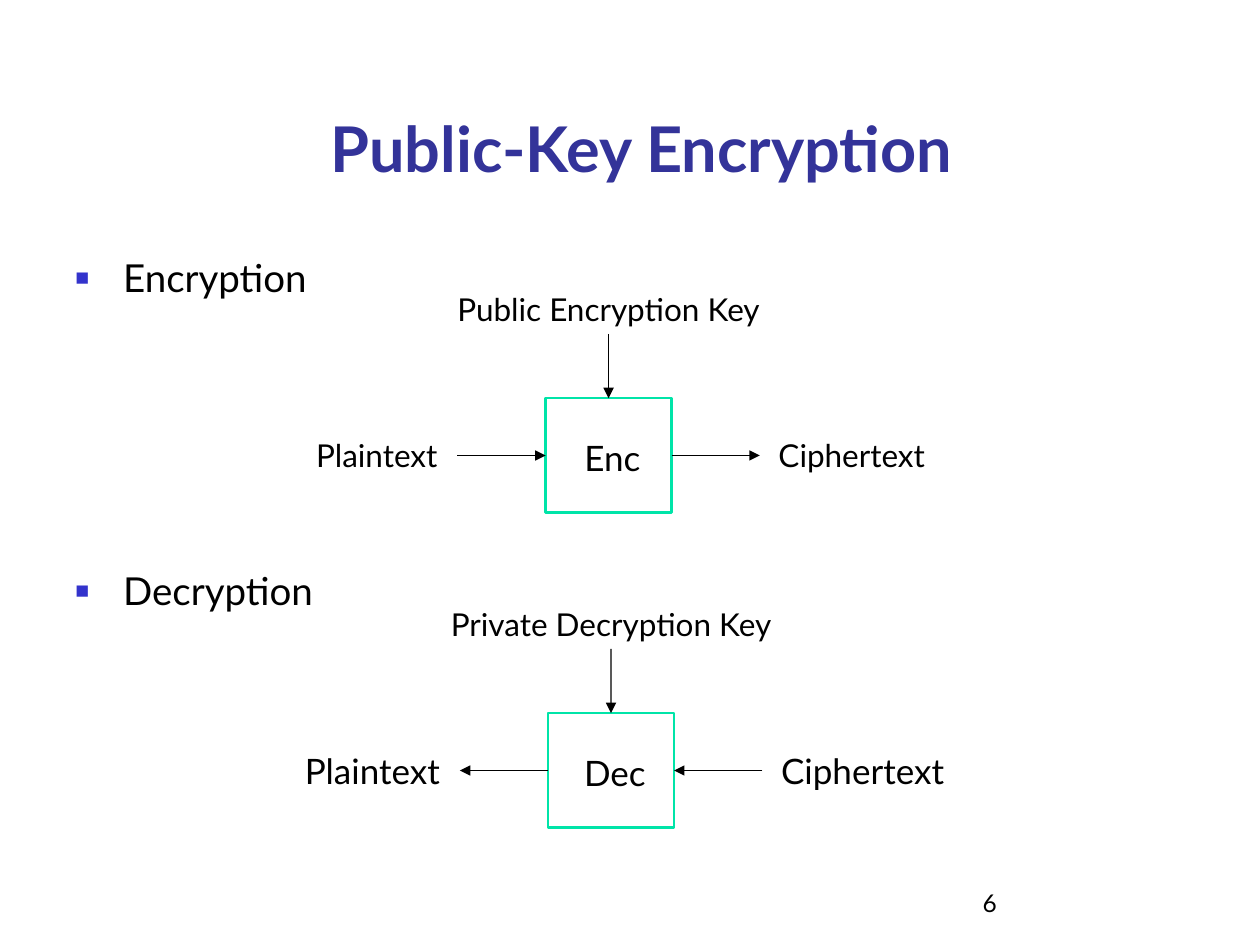
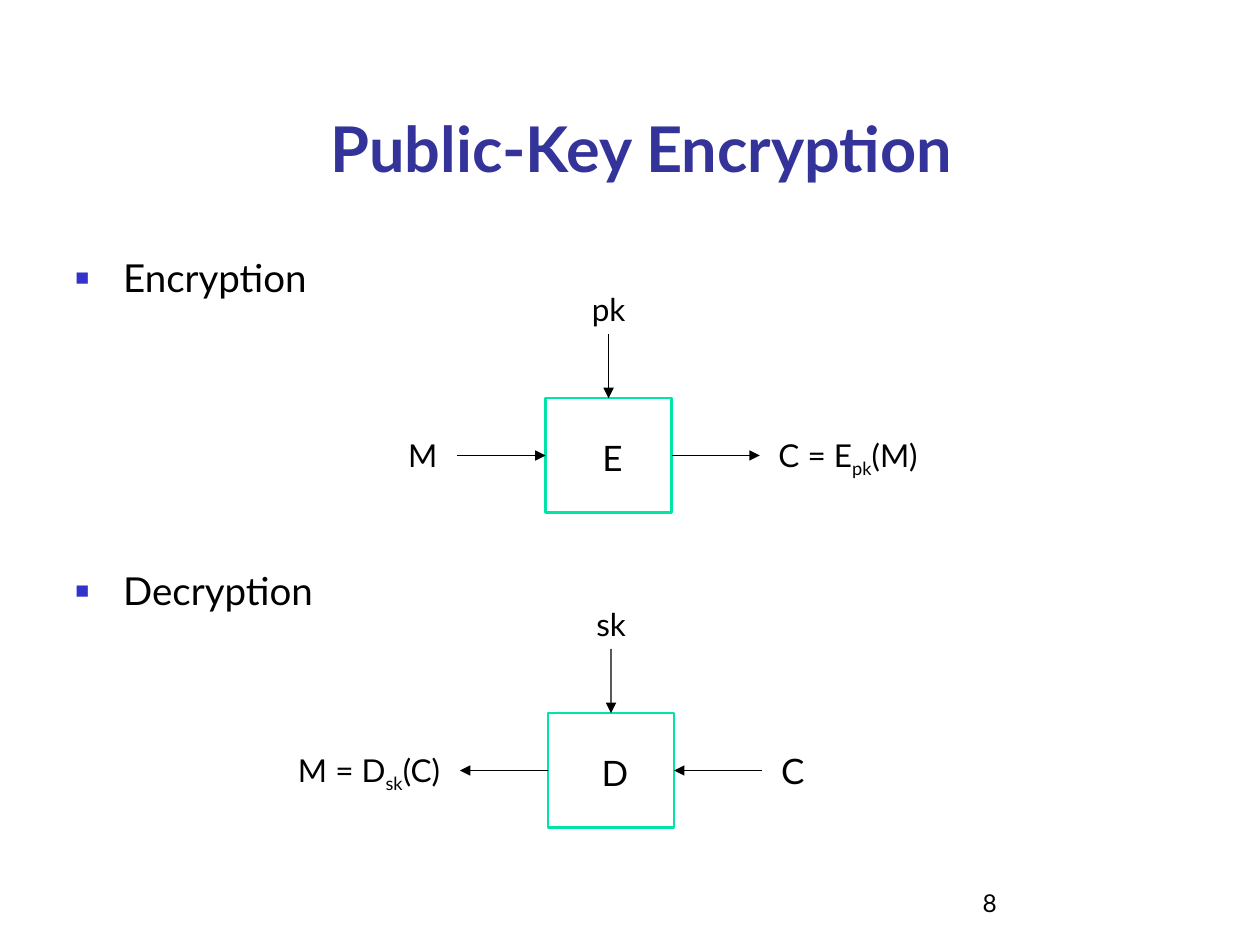
from lxml.etree import SubElement
from pptx import Presentation
from pptx.dml.color import RGBColor
from pptx.enum.shapes import MSO_CONNECTOR, MSO_SHAPE
from pptx.enum.text import MSO_ANCHOR, PP_ALIGN
from pptx.oxml.ns import qn
from pptx.util import Inches, Pt

COLOURS = {"title": "333399", "text": "000000", "bullet": "3333CC",
           "box": "00E4A8", "arrow": "000000"}
FONT = "Lato"
TITLE = "Public-Key Encryption"
TOP, LEFT, RIGHT = 0, 1, 3  # connection sites of a rectangle
BOX_WIDTH, BOX_HEIGHT = 1, 0.91
ARROW_LENGTH = 0.7
LABEL_WIDTH = 1.62

# Text between underscores is set as a subscript.
SLIDES = [
    {"number": "6",
     "encryption": {"key": "Public Encryption Key", "name": "Enc",
                    "left": ("Plaintext", 18), "right": ("Ciphertext", 18)},
     "decryption": {"key": "Private Decryption Key", "name": "Dec",
                    "left": ("Plaintext", 20), "right": ("Ciphertext", 20)}},
    {"number": "8",
     "encryption": {"key": "pk", "name": "E",
                    "left": ("M", 18), "right": ("C = E_pk_(M)", 18)},
     "decryption": {"key": "sk", "name": "D",
                    "left": ("M = D_sk_(C)", 18), "right": ("C", 20)}},
]


def colour(name):
    return RGBColor.from_string(COLOURS[name])


def write(paragraph, text, size, colour_name="text", bold=False):
    """Fill a paragraph, lowering every part between underscores."""
    font_format = {"name": FONT, "size": Pt(size), "bold": bold}
    for index, part in enumerate(text.split("_")):
        run = paragraph.add_run()
        run.text = part
        for attribute, value in font_format.items():
            setattr(run.font, attribute, value)
        run.font.color.rgb = colour(colour_name)
        if index % 2:
            run._r.get_or_add_rPr().set("baseline", "-25000")


def add_text_frame(slide, left, top, width, height, anchor=MSO_ANCHOR.TOP):
    box = slide.shapes.add_textbox(*map(Inches, (left, top, width, height)))
    frame = box.text_frame
    for attribute, value in {"word_wrap": True, "vertical_anchor": anchor}.items():
        setattr(frame, attribute, value)
    return frame


def add_label(slide, text, left, middle, width, size, align):
    """Add one line of text centred vertically on middle."""
    height = 0.1 + size / 60
    frame = add_text_frame(slide, left, middle - height / 2, width, height)
    paragraph = frame.paragraphs[0]
    paragraph.alignment = align
    write(paragraph, text, size)


def add_bullet(paragraph):
    properties = paragraph._p.get_or_add_pPr()
    properties.set("marL", str(Inches(0.38)))
    properties.set("indent", str(Inches(-0.38)))
    bullet_colour = SubElement(properties, qn("a:buClr"))
    SubElement(bullet_colour, qn("a:srgbClr"), val=COLOURS["bullet"])
    SubElement(properties, qn("a:buSzPct"), val="60000")
    SubElement(properties, qn("a:buFont"), typeface="Arial")
    SubElement(properties, qn("a:buChar"), char="■")


def add_arrow(slide, start, end):
    connector = slide.shapes.add_connector(
        MSO_CONNECTOR.STRAIGHT, *map(Inches, (*start, *end)))
    connector.line.color.rgb = colour("arrow")
    connector.line.width = Pt(0.75)
    SubElement(connector.line._get_or_add_ln(), qn("a:tailEnd"), type="triangle")
    SubElement(connector._element.spPr, qn("a:effectLst"))
    return connector


def add_box(slide, left, top):
    box = slide.shapes.add_shape(
        MSO_SHAPE.RECTANGLE, *map(Inches, (left, top, BOX_WIDTH, BOX_HEIGHT)))
    box.shadow.inherit = False
    box.fill.background()
    box.line.color.rgb = colour("box")
    box.line.width = Pt(1.5)
    return box


def add_cipher(slide, left, top, content, forward):
    """Draw a cipher box with its key; data flows rightwards if forward."""
    box = add_box(slide, left, top)
    centre, middle = left + BOX_WIDTH / 2, top + BOX_HEIGHT / 2
    right = left + BOX_WIDTH
    add_label(slide, content["name"], left + 0.07, middle + 0.02, 0.92, 20,
              PP_ALIGN.CENTER)

    # Key above the box
    add_label(slide, content["key"], centre - 1.54, top - 0.71, 3.08, 18,
              PP_ALIGN.CENTER)
    add_arrow(slide, (centre, top - 0.51), (centre, top)).end_connect(box, TOP)

    # Data on both sides
    sides = [
        ("left", LEFT, left, -ARROW_LENGTH, left - 0.76 - LABEL_WIDTH,
         PP_ALIGN.RIGHT, forward),
        ("right", RIGHT, right, ARROW_LENGTH, right + 0.75,
         PP_ALIGN.LEFT, not forward),
    ]
    for side, site, edge, reach, label_left, align, is_input in sides:
        text, size = content[side]
        add_label(slide, text, label_left, middle, LABEL_WIDTH, size, align)
        near, far = (edge, middle), (edge + reach, middle)
        if is_input:
            add_arrow(slide, far, near).end_connect(box, site)
        else:
            add_arrow(slide, near, far).begin_connect(box, site)


def add_frame(slide, number):
    """Add the title, the two headings and the slide number."""
    title = add_text_frame(slide, 0.83, -0.08, 8.52, 1.6, MSO_ANCHOR.BOTTOM)
    title.paragraphs[0].alignment = PP_ALIGN.CENTER
    write(title.paragraphs[0], TITLE, 36, "title", bold=True)

    body = add_text_frame(slide, 0.5, 1.97, 9, 4.95)
    encryption, decryption = body.paragraphs[0], body.add_paragraph()
    decryption.space_before = Pt(152.5)
    for paragraph, heading in ((encryption, "Encryption"), (decryption, "Decryption")):
        add_bullet(paragraph)
        write(paragraph, heading, 22)

    footer = add_text_frame(slide, 7.7, 6.83, 2.08, 0.5, MSO_ANCHOR.BOTTOM)
    write(footer.paragraphs[0], number, 14)


def main():
    presentation = Presentation()
    presentation.slide_width, presentation.slide_height = Inches(10), Inches(7.5)
    for content in SLIDES:
        slide = presentation.slides.add_slide(presentation.slide_layouts[6])
        add_frame(slide, content["number"])
        add_cipher(slide, 4.33, 3.16, content["encryption"], forward=True)
        add_cipher(slide, 4.35, 5.66, content["decryption"], forward=False)
    presentation.save("out.pptx")


if __name__ == "__main__":
    main()
